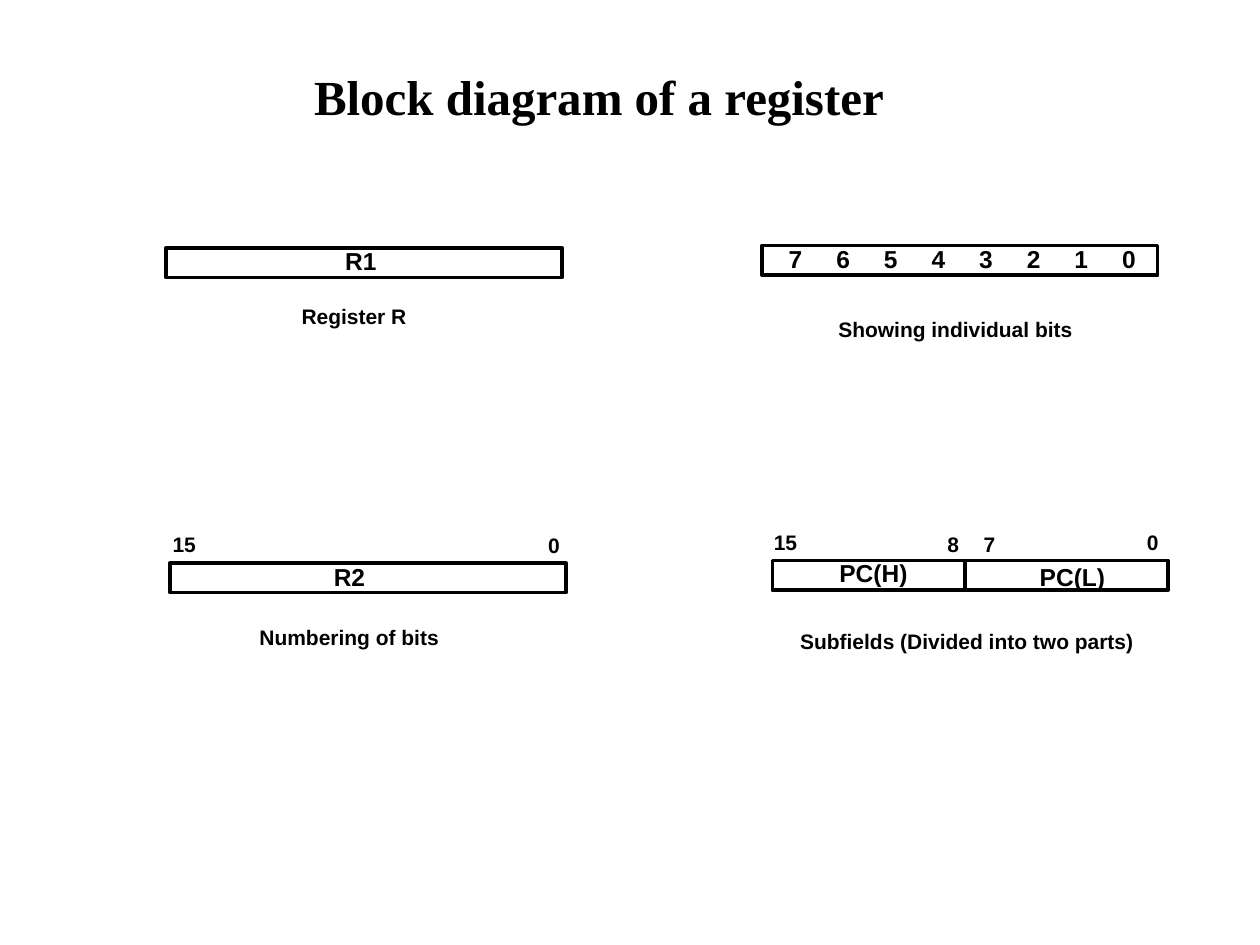
from dataclasses import dataclass

import pptx
import pptx.dml.color
import pptx.enum.shapes
import pptx.enum.text
import pptx.oxml
import pptx.oxml.ns
import pptx.util
from pptx.util import Cm


@dataclass(frozen=True)
class TextStyle:
    font: str
    size: int
    spacing: float
    height: float


@dataclass(frozen=True)
class Theme:
    ink = pptx.dml.color.RGBColor(0, 0, 0)
    outline = pptx.util.Pt(2)
    title = TextStyle("Times New Roman", 28, 0.85, 1.14)
    content = TextStyle("Arial", 14, 0.9, 0.69)
    note = TextStyle("Arial", 12, 0.97, 0.64)


@dataclass(frozen=True)
class Register:
    left: float
    top: float
    width: float = 7.98
    height: float = 0.6


@dataclass(frozen=True)
class Label:
    text: str
    left: float
    top: float
    width: float
    style: TextStyle
    tab_pitch: float = 0


THEME = Theme()
BIT_PITCH = 0.96

REGISTERS = [
    Register(3.35, 5),
    Register(15.36, 4.95),
    Register(3.43, 11.35),
    Register(15.57, 11.3),
]

LABELS = [
    Label("R1", 6.78, 4.95, 1.1, THEME.content),
    Label("\t".join(map(str, range(7, -1, -1))), 15.72, 4.9, 7.5, THEME.content, BIT_PITCH),
    Label("R2", 6.55, 11.31, 1.1, THEME.content),
    Label("PC(H)", 16.74, 11.23, 1.85, THEME.content),
    Label("PC(L)", 20.78, 11.31, 1.8, THEME.content),
    Label("Register R", 5.9, 6.07, 2.7, THEME.note),
    Label("Showing individual bits", 16.72, 6.33, 5.2, THEME.note),
    Label("Numbering of bits", 5.05, 12.53, 4.1, THEME.note),
    Label("Subfields (Divided into two parts)", 15.95, 12.62, 7.2, THEME.note),
    Label("15", 3.3, 10.67, 0.92, THEME.note),
    Label("0", 10.87, 10.69, 0.65, THEME.note),
    Label("15", 15.42, 10.62, 0.92, THEME.note),
    Label("8", 18.92, 10.67, 0.65, THEME.note),
    Label("7", 19.65, 10.67, 0.65, THEME.note),
    Label("0", 22.94, 10.62, 0.65, THEME.note),
]


def apply(target, values: dict) -> None:
    for attribute, value in values.items():
        setattr(target, attribute, value)


def add_tab_stops(paragraph, pitch: float, count: int) -> None:
    properties = paragraph._p.get_or_add_pPr()
    stops = pptx.oxml.parse_xml(f'<a:tabLst {pptx.oxml.ns.nsdecls("a")}/>')
    for number in range(1, count + 1):
        stop = stops.makeelement(pptx.oxml.ns.qn("a:tab"), {})
        stop.set("pos", str(Cm(pitch * number)))
        stop.set("algn", "l")
        stops.append(stop)
    properties.append(stops)


def write_text(frame, text: str, style: TextStyle, tab_pitch: float = 0) -> None:
    apply(frame, {
        "text": text,
        "word_wrap": True,
        "auto_size": pptx.enum.text.MSO_AUTO_SIZE.SHAPE_TO_FIT_TEXT,
        "vertical_anchor": pptx.enum.text.MSO_ANCHOR.TOP,
        "margin_left": Cm(0.18),
        "margin_right": Cm(0.18),
        "margin_top": Cm(0.08),
        "margin_bottom": Cm(0.08),
    })
    paragraph = frame.paragraphs[0]
    apply(paragraph, {
        "alignment": pptx.enum.text.PP_ALIGN.LEFT,
        "line_spacing": style.spacing,
    })
    if tab_pitch:
        add_tab_stops(paragraph, tab_pitch, text.count("\t"))
    font = paragraph.runs[0].font
    apply(font, {"name": style.font, "size": pptx.util.Pt(style.size), "bold": True})
    font.color.rgb = THEME.ink


def draw_label(slide, label: Label) -> None:
    box = slide.shapes.add_textbox(
        Cm(label.left), Cm(label.top), Cm(label.width), Cm(label.style.height))
    write_text(box.text_frame, label.text, label.style, label.tab_pitch)


def draw_outline(line) -> None:
    line.color.rgb = THEME.ink
    line.width = THEME.outline


def draw_register(slide, register: Register) -> None:
    cell = slide.shapes.add_shape(
        pptx.enum.shapes.MSO_SHAPE.RECTANGLE,
        Cm(register.left), Cm(register.top), Cm(register.width), Cm(register.height))
    cell.shadow.inherit = False
    cell.fill.background()
    draw_outline(cell.line)


def draw_divider(slide, x: float, top: float, bottom: float) -> None:
    divider = slide.shapes.add_connector(
        pptx.enum.shapes.MSO_CONNECTOR.STRAIGHT, Cm(x), Cm(top), Cm(x), Cm(bottom))
    draw_outline(divider.line)
    divider._element.spPr.append(
        pptx.oxml.parse_xml(f'<a:effectLst {pptx.oxml.ns.nsdecls("a")}/>'))


def draw_title(slide, text: str) -> None:
    heading = slide.shapes.title
    apply(heading, {
        "left": Cm(6.15), "top": Cm(1.45),
        "width": Cm(13.89), "height": Cm(THEME.title.height),
    })
    write_text(heading.text_frame, text, THEME.title)


def main() -> None:
    deck = pptx.Presentation()
    apply(deck, {"slide_width": Cm(25.4), "slide_height": Cm(19.05)})
    slide = deck.slides.add_slide(deck.slide_layouts.get_by_name("Title Only"))
    draw_title(slide, "Block diagram of a register")
    for register in REGISTERS:
        draw_register(slide, register)
    draw_divider(slide, 19.45, 11.28, 11.86)
    for label in LABELS:
        draw_label(slide, label)
    deck.save("out.pptx")


if __name__ == "__main__":
    main()
